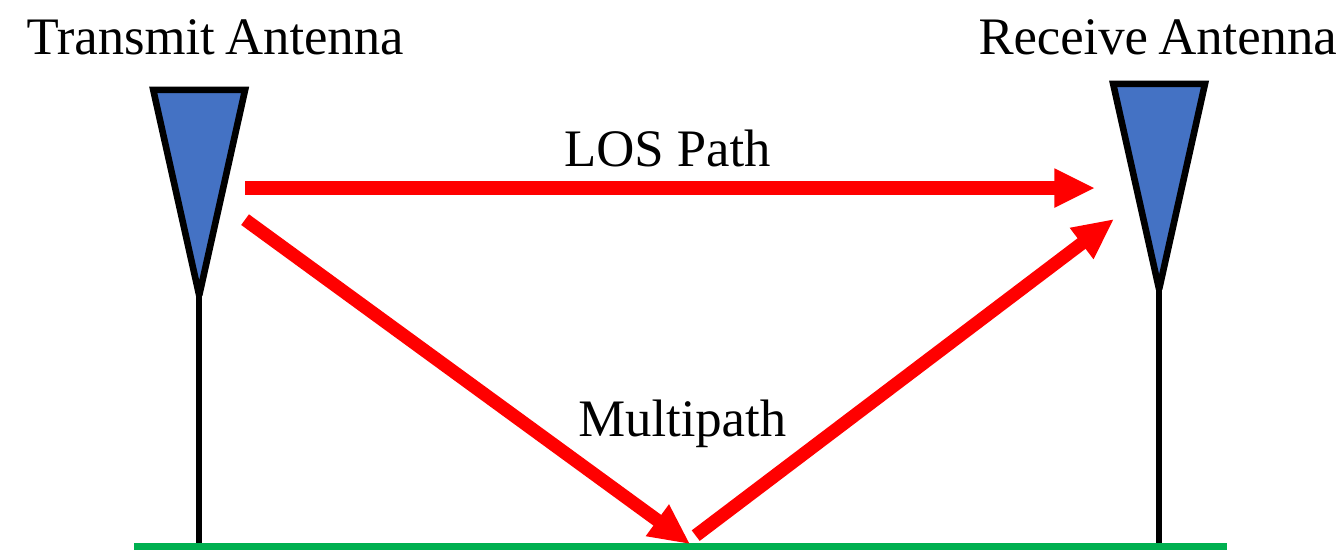
"""Build a slide of line-of-sight and multipath rays between two antennas."""
from pptx import Presentation
from pptx.dml.color import RGBColor
from pptx.enum.shapes import MSO_CONNECTOR as LINK, MSO_SHAPE as SHAPE
from pptx.enum.text import MSO_AUTO_SIZE as FIT
from pptx.oxml.ns import qn
from pptx.util import Pt
from lxml.etree import SubElement as sub

BLACK = RGBColor(0, 0, 0)
BLUE = RGBColor(0x44, 0x72, 0xC4)
GREEN = RGBColor(0, 0xB0, 0x50)
RED = RGBColor(0xFF, 0, 0)
FONT = "Times New Roman"

HORN_W, HORN_H = 41.8, 93.6
HORNS = [(69.8, 41, 250.5), (506.9, 38.2, 247.7)]
GROUND = (61.2, 249.1, 558.7, 249.1)
RAYS = [
    (111.6, 85.7, 498.2, 85.7),
    (111.6, 100.1, 313.9, 247.7),
    (316.8, 244.1, 506.9, 100.1),
]
LABELS = [
    ("Transmit Antenna", 5, -2.9, 187.9, False),
    ("Receive Antenna", 438.5, -2.9, 179.3, False),
    ("LOS Path", 249.8, 48.2, 109.4, False),
    ("Multipath", 256.3, 171.4, 182.2, True),
]


def add_line(slide, ends, color, width, arrow=False):
    link = slide.shapes.add_connector(LINK.STRAIGHT, *map(Pt, ends))
    link.line.color.rgb = color
    link.line.width = Pt(width)
    sub(link._element.spPr, qn("a:effectLst"))
    if arrow:
        sub(link.line._get_or_add_ln(), qn("a:tailEnd"), type="triangle")


def add_horn(slide, left, top, foot):
    horn = slide.shapes.add_shape(
        SHAPE.ISOSCELES_TRIANGLE, Pt(left), Pt(top), Pt(HORN_W), Pt(HORN_H))
    horn.rotation = 180
    horn.shadow.inherit = False
    horn.fill.solid()
    horn.fill.fore_color.rgb = BLUE
    horn.line.color.rgb = BLACK
    horn.line.width = Pt(3)
    sub(horn.line._get_or_add_ln(), qn("a:miter"), lim="800000")
    mid = left + HORN_W / 2
    add_line(slide, (mid, top + HORN_H, mid, foot), BLACK, 3)


def add_label(slide, text, left, top, width, wrap):
    box = slide.shapes.add_textbox(Pt(left), Pt(top), Pt(width), Pt(36))
    frame = box.text_frame
    frame.word_wrap = wrap
    frame.auto_size = FIT.SHAPE_TO_FIT_TEXT
    run = frame.paragraphs[0].add_run()
    run.text = text
    run.font.name = FONT
    run.font.size = Pt(24)
    run.font.color.rgb = BLACK


def main():
    deck = Presentation()
    deck.slide_width, deck.slide_height = Pt(612), Pt(252)
    slide = deck.slides.add_slide(deck.slide_layouts[6])
    for horn in HORNS:
        add_horn(slide, *horn)
    add_line(slide, GROUND, GREEN, 3)
    for ray in RAYS:
        add_line(slide, ray, RED, 6, arrow=True)
    for label in LABELS:
        add_label(slide, *label)
    deck.save("out.pptx")


if __name__ == "__main__":
    main()
